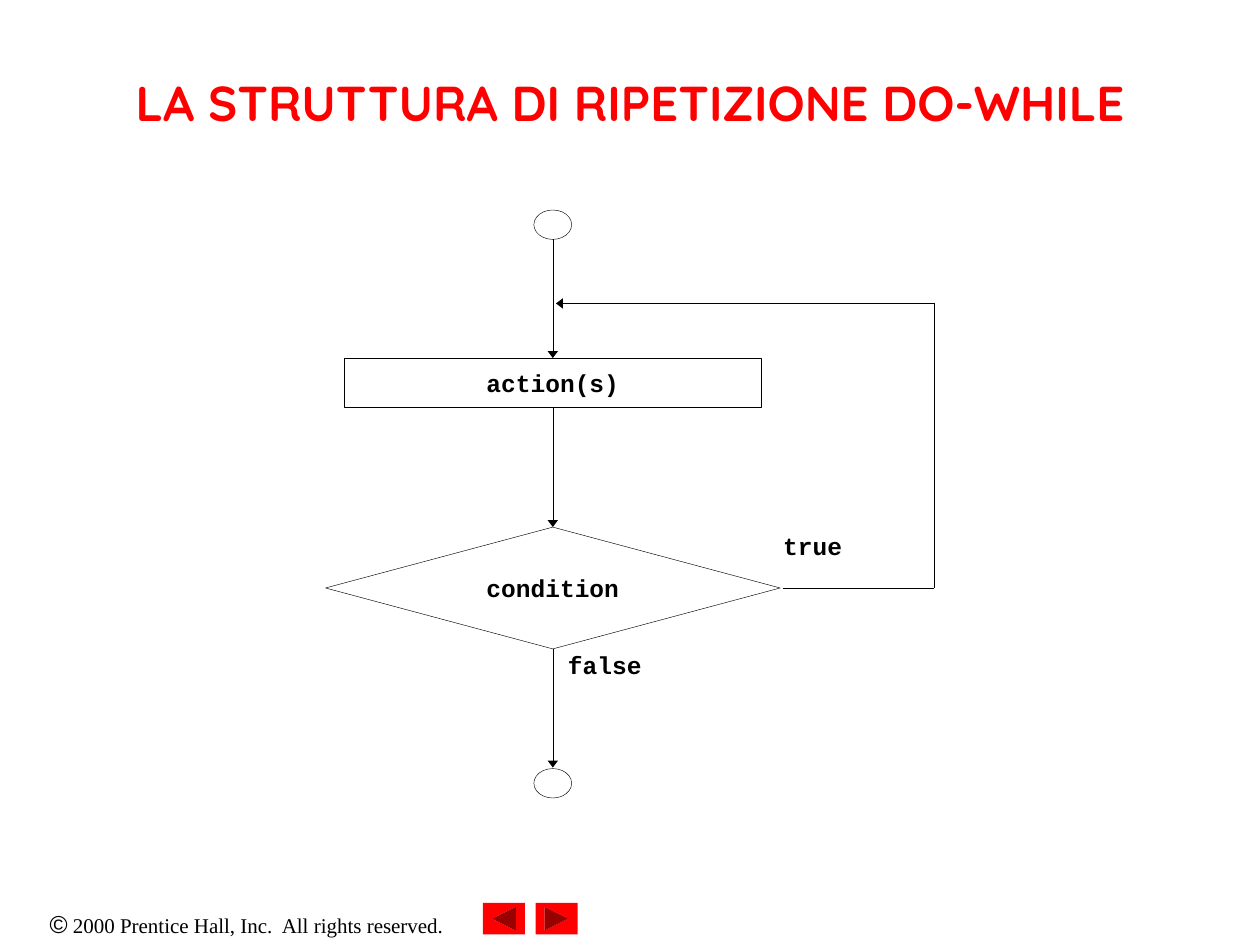
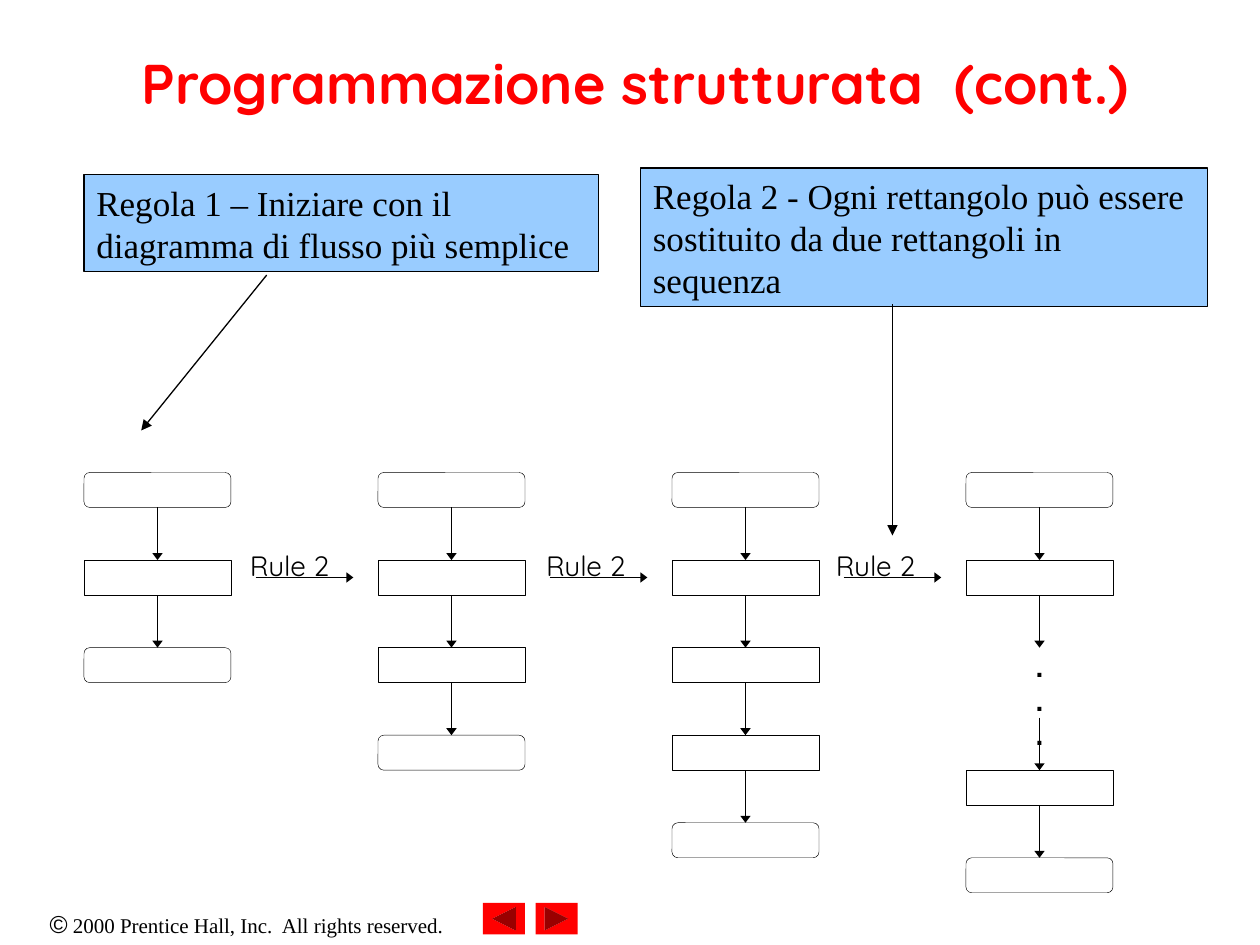
from dataclasses import dataclass

from lxml import etree
from pptx import Presentation
from pptx.dml.color import RGBColor
from pptx.enum import shapes, text
from pptx.oxml import ns
from pptx.util import Inches, Pt

# Grid: 120 columns by 90 rows of one twelfth of an inch
COLS, ROWS, CELL = 120, 90, Inches(1) / 12
HUES = {"ink": "000000", "red": "FF0000", "sky": "99CCFF", "paper": "FFFFFF"}
SANS, MONO, SERIF, MARK = "Quicksand", "Courier New", "Times New Roman", "Arial"
KIND, MID = shapes.MSO_SHAPE, text.PP_ALIGN.CENTER
THIN, FIRM = 0.25, 0.75


@dataclass
class Box:
    x: float
    y: float
    w: float
    h: float

    def emu(self) -> list[int]:
        return [cells(v) for v in (self.x, self.y, self.w, self.h)]


@dataclass
class Type:
    face: str
    size: float
    bold: bool = False
    hue: str = "ink"
    align: text.PP_ALIGN = text.PP_ALIGN.LEFT


@dataclass
class Flow:
    """A chain of steps: caps are rounded, boxes square; values are steps."""
    caps: tuple
    boxes: tuple
    tips: tuple


CODE = Type(MONO, 14, True)
CODE_MID = Type(MONO, 14, True, align=MID)
RULE = Type(SANS, 16)
NOTE = Type(SERIF, 20)
DOTS = Type(MONO, 16, True)


def cells(n: float) -> int:
    return round(n * CELL)


def rgb(hue: str) -> RGBColor:
    return RGBColor.from_string(HUES[hue])


# Basic parts
def write(shape, words: str, kind: Type, pad: bool = False, mid: bool = False) -> None:
    frame = shape.text_frame
    frame.word_wrap = True
    frame.vertical_anchor = text.MSO_ANCHOR.MIDDLE if mid else text.MSO_ANCHOR.TOP
    side, edge = (Inches(0.1), Inches(0.05)) if pad else (0, 0)
    frame.margin_left = frame.margin_right = side
    frame.margin_top = frame.margin_bottom = edge
    frame.text = words
    for para in frame.paragraphs:
        para.alignment = kind.align
        font = para.font
        font.name, font.size, font.bold = kind.face, Pt(kind.size), kind.bold
        font.color.rgb = rgb(kind.hue)


def label(slide, box: Box, words: str, kind: Type, pad: bool = False, mid: bool = False):
    shape = slide.shapes.add_textbox(*box.emu())
    write(shape, words, kind, pad, mid)
    return shape


def block(slide, kind: KIND, box: Box, fill: str = "", line: float = THIN):
    shape = slide.shapes.add_shape(kind, *box.emu())
    shape.shadow.inherit = False
    if fill:
        shape.fill.solid()
        shape.fill.fore_color.rgb = rgb(fill)
    else:
        shape.fill.background()
    if line:
        shape.line.color.rgb = rgb("ink")
        shape.line.width = Pt(line)
    else:
        shape.line.fill.background()
    return shape


def wire(slide, x1: float, y1: float, x2: float, y2: float,
         tip: str = "", line: float = THIN) -> None:
    """Draw a line; tip is the length of the arrowhead at its end."""
    ends = [cells(v) for v in (x1, y1, x2, y2)]
    link = slide.shapes.add_connector(shapes.MSO_CONNECTOR.STRAIGHT, *ends)
    link.line.color.rgb = rgb("ink")
    link.line.width = Pt(line)
    if tip:
        etree.SubElement(link.line._get_or_add_ln(), ns.qn("a:tailEnd"),
                         type="triangle", w="med", len=tip)
    etree.SubElement(link._element.spPr, ns.qn("a:effectLst"))


# Shared frame: title, copyright line, two buttons
def page(deck, title: str, box: Box, size: float):
    slide = deck.slides.add_slide(deck.slide_layouts[6])
    foot = label(slide, Box(0, 86, 47, 4), "©", Type(MARK, 14, align=MID), pad=True)
    run = foot.text_frame.paragraphs[0].add_run()
    run.text = " 2000 Prentice Hall, Inc.  All rights reserved."
    run.font.name, run.font.size = SERIF, Pt(12)
    for col, turn in ((51, 0), (46, 180)):
        key = block(slide, KIND.ACTION_BUTTON_FORWARD_OR_NEXT,
                    Box(col, 86, 4, 3), "red", 0)
        key.rotation = turn
    label(slide, box, title, Type(SANS, size, True, "red", MID), pad=True, mid=True)
    return slide


# Slide 1: the do-while loop
def loop(deck) -> None:
    slide = page(deck, "LA STRUTTURA DI RIPETIZIONE DO-WHILE",
                 Box(9, 3.4, 102, 12.6), 28)
    axis, back, turn, join = 52.65, 89, 56, 28.9
    for top in (20, 73.2):
        block(slide, KIND.OVAL, Box(axis - 1.8, top, 3.6, 2.8))
    for y1, y2 in ((22.8, 34.1), (38.8, 50.2), (61.8, 73.1)):
        wire(slide, axis, y1, axis, y2, "sm")
    steps = ((KIND.RECTANGLE, 39.7, 34.1, 4.7, "action(s)", ""),
             (KIND.DIAMOND, 43.3, 50.2, 11.6, "condition", "paper"))
    for kind, w, top, h, words, fill in steps:
        step = block(slide, kind, Box(axis - w / 2, top, w, h), fill)
        write(step, words, CODE_MID, mid=True)
    wire(slide, 74.6, turn, back, turn)
    wire(slide, back, turn, back, join)
    wire(slide, back, join, axis + 0.3, join, "sm")
    label(slide, Box(74.6, 50.6, 12.7, 5.6), "true", CODE)
    label(slide, Box(54.1, 61.9, 15.6, 5.6), "false", CODE)


# Slide 2: stacking rule
FLOWS = (Flow((0, 2), (1,), (1, 2)),
         Flow((0, 3), (1, 2), (1, 2, 3)),
         Flow((0, 4), (1, 2, 3), (1, 2, 3, 4)),
         Flow((0, 4.4), (1, 3.4), (1, 2, 3.4, 4.4)))
LEFT, TOP, PITCH, STEP = 8, 45, 28, 8.34
WIDE, TALL = 14, 3.33


def chain(slide, x: float, flow: Flow) -> None:
    def level(n: float) -> float:
        return TOP + n * STEP

    for kind, spots in ((KIND.ROUNDED_RECTANGLE, flow.caps), (KIND.RECTANGLE, flow.boxes)):
        for n in spots:
            block(slide, kind, Box(x, level(n), WIDE, TALL))
    mid = x + WIDE / 2
    for n in flow.tips:
        wire(slide, mid, level(n) - STEP + TALL, mid, level(n), "sm")


def rules(deck) -> None:
    slide = page(deck, "Programmazione strutturata  (cont.)",
                 Box(7.1, 2.5, 106.8, 10.7), 32)
    for i, flow in enumerate(FLOWS):
        chain(slide, LEFT + i * PITCH, flow)
    label(slide, Box(98.2, 61.9, 2.4, 7.2), ".\n.\n.", DOTS)
    for i, x in enumerate((23.8, 52, 79.6)):
        label(slide, Box(x, 52.2, 11.6, 2.3), "Rule 2", RULE)
        start = 24.35 + i * PITCH
        wire(slide, start, 55, start + 9.3, 55, "sm")
    # Notes with their pointers
    notes = (
        (Box(8, 16.65, 49, 9.2), (25.4, 26.2, 13.45, 41),
         "Regola 1 – Iniziare con il diagramma di flusso più semplice"),
        (Box(61, 16, 54, 13.2), (85, 29, 85, 51),
         "Regola 2 - Ogni rettangolo può essere sostituito da due rettangoli in sequenza"))
    for box, ends, words in notes:
        write(block(slide, KIND.RECTANGLE, box, "sky", FIRM), words, NOTE, pad=True)
        wire(slide, *ends, "med", FIRM)


def main() -> None:
    deck = Presentation()
    deck.slide_width, deck.slide_height = cells(COLS), cells(ROWS)
    loop(deck)
    rules(deck)
    deck.save("out.pptx")


if __name__ == "__main__":
    main()
